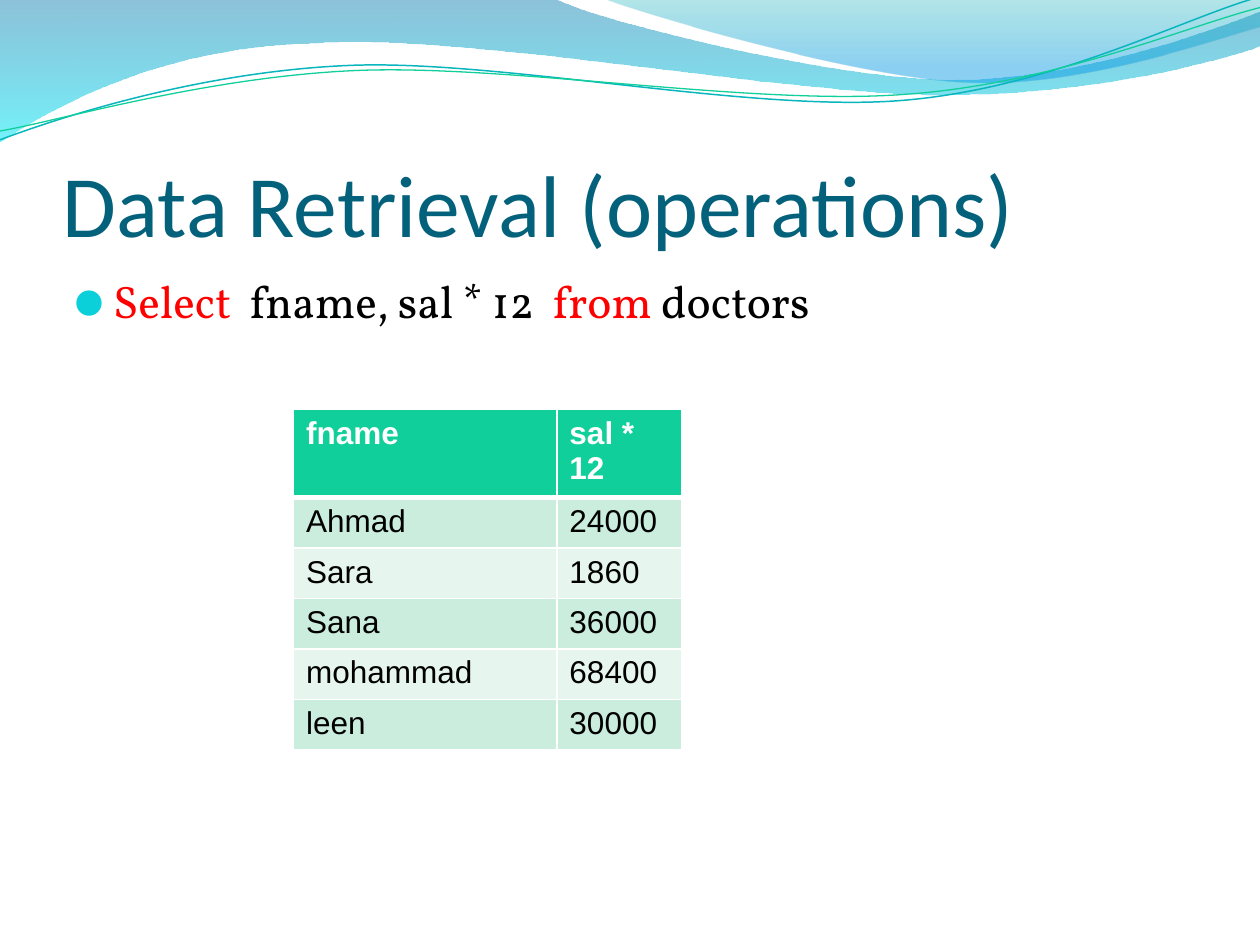
from lxml.etree import SubElement
from pptx import Presentation
from pptx.dml.color import RGBColor
from pptx.enum.text import MSO_ANCHOR
from pptx.oxml.ns import qn
from pptx.util import Inches, Pt


def add_run(paragraph, text, size, font, color, bold=False):
    run = paragraph.add_run()
    run.text = text
    run.font.size = Pt(size)
    run.font.name = font
    run.font.bold = bold
    run.font.color.rgb = RGBColor.from_string(color)


def add_wave(shapes, start, segments, closed):
    builder = shapes.build_freeform(Inches(start[0]), Inches(start[1]))
    ends = [(Inches(x), Inches(y)) for x, y in (segment[-1] for segment in segments)]
    builder.add_line_segments(ends, close=closed)
    wave = builder.convert_to_shape()
    wave.shadow.inherit = False
    for step, segment in zip(list(wave._element.iter(qn("a:lnTo"))), segments):
        if len(segment) == 3:
            step.tag = qn("a:cubicBezTo")
            step.remove(step[0])
            for x, y in segment:
                SubElement(step, qn("a:pt"), x=str(Inches(x) - wave.left), y=str(Inches(y) - wave.top))
    return wave


prs = Presentation()
prs.slide_width, prs.slide_height = Inches(10), Inches(7.5)
slide = prs.slides.add_slide(prs.slide_layouts[6])

bands = [
    ((0, 0), [
        [(4.4, -0.01)],
        [(4.76, 0.17), (6.64, 0.63), (7.58, 0.63)],
        [(8.53, 0.63), (9.58, 0.26), (10, 0.09)],
        [(10.01, 0.36)],
        [(9.83, 0.44), (8.7, 0.76), (7.46, 0.75)],
        [(6.22, 0.75), (3.82, 0.28), (2.57, 0.34)],
        [(1.29, 0.36), (0.46, 0.83), (-0.01, 1.13)],
    ], [(0, "0079AD", 45), (1, "00E9F7", 55)]),
    ((4.79, -0.01), [
        [(5.09, 0.11), (6.82, 0.62), (7.69, 0.65)],
        [(8.56, 0.69), (9.61, 0.32), (10, 0.21)],
        [(10, 0)],
    ], [(0, "00ABB4", 30), (0.8, "0099E4", 45)]),
]
for start, segments, stops in bands:
    band = add_wave(slide.shapes, start, segments, True)
    band.line.fill.background()
    band.fill.gradient()
    band.fill.gradient_angle = 270
    for stop, (position, color, opacity) in zip(band.fill.gradient_stops, stops):
        stop.position = position
        stop.color.rgb = RGBColor.from_string(color)
    for tint, (position, color, opacity) in zip(band._element.iter(qn("a:srgbClr")), stops):
        SubElement(tint, qn("a:alpha"), val=str(opacity * 1000))

strands = [
    ((0, 1.11), [
        [(0.48, 0.93), (1.58, 0.57), (2.77, 0.52)],
        [(3.95, 0.47), (5.93, 0.89), (7.13, 0.8)],
        [(8.33, 0.71), (9.38, 0.15), (9.98, -0.02)],
    ], "09B6BE", 0.85),
    ((0, 1.04), [
        [(0.47, 0.96), (1.64, 0.61), (2.83, 0.56)],
        [(4.03, 0.51), (5.97, 0.84), (7.17, 0.75)],
        [(8.36, 0.67), (9.41, 0.21), (10, 0.06)],
    ], "10CF9B", 0.75),
]
for start, segments, color, width in strands:
    strand = add_wave(slide.shapes, start, segments, False)
    strand.fill.background()
    strand.line.color.rgb = RGBColor.from_string(color)
    strand.line.width = Pt(width)

title = slide.shapes.add_textbox(Inches(0.5), Inches(0.77), Inches(9), Inches(1.25)).text_frame
title.word_wrap = True
title.vertical_anchor = MSO_ANCHOR.BOTTOM
title.margin_left = title.margin_right = title.margin_bottom = 0
add_run(title.paragraphs[0], "Data Retrieval (operations)", 50, "Calibri", "04617B")

query = slide.shapes.add_textbox(Inches(0.5), Inches(2.12), Inches(9), Inches(4.8)).text_frame
query.word_wrap = True
statement = query.paragraphs[0]
for text, color in [("Select", "FF0000"), ("  fname, sal * 12  ", "000000"),
                    ("from", "FF0000"), (" doctors", "000000")]:
    add_run(statement, text, 26, "Vollkorn", color)
bullet = statement._p.get_or_add_pPr()
bullet.set("marL", str(Inches(0.3)))
bullet.set("indent", str(Inches(-0.3)))
SubElement(SubElement(bullet, qn("a:buClr")), qn("a:srgbClr"), val="0BD0D9")
SubElement(bullet, qn("a:buFont"), typeface="Arial")
SubElement(bullet, qn("a:buChar"), char="⚫")

salaries = [("fname", "sal * 12"), ("Ahmad", "24000"), ("Sara", "1860"),
            ("Sana", "36000"), ("mohammad", "68400"), ("leen", "30000")]
result = slide.shapes.add_table(len(salaries), 2, Inches(2.33), Inches(3.25),
                                Inches(3.08), Inches(0.4 * len(salaries))).table
result.columns[0].width, result.columns[1].width = Inches(2.09), Inches(0.99)
for row, record in enumerate(salaries):
    header = row == 0
    fill = "10CF9B" if header else ("E6F6EF", "CAEDDE")[row % 2]
    for column, value in enumerate(record):
        cell = result.cell(row, column)
        add_run(cell.text_frame.paragraphs[0], value, 18, "Arial",
                "FFFFFF" if header else "000000", header)
        for side in "LRTB":
            thick = (row, side) in [(0, "B"), (1, "T")]
            border = SubElement(cell._tc.get_or_add_tcPr(), qn("a:ln" + side),
                                w=str(Pt(3 if thick else 1)))
            SubElement(SubElement(border, qn("a:solidFill")), qn("a:srgbClr"), val="FFFFFF")
        cell.fill.solid()
        cell.fill.fore_color.rgb = RGBColor.from_string(fill)

prs.save("out.pptx")
